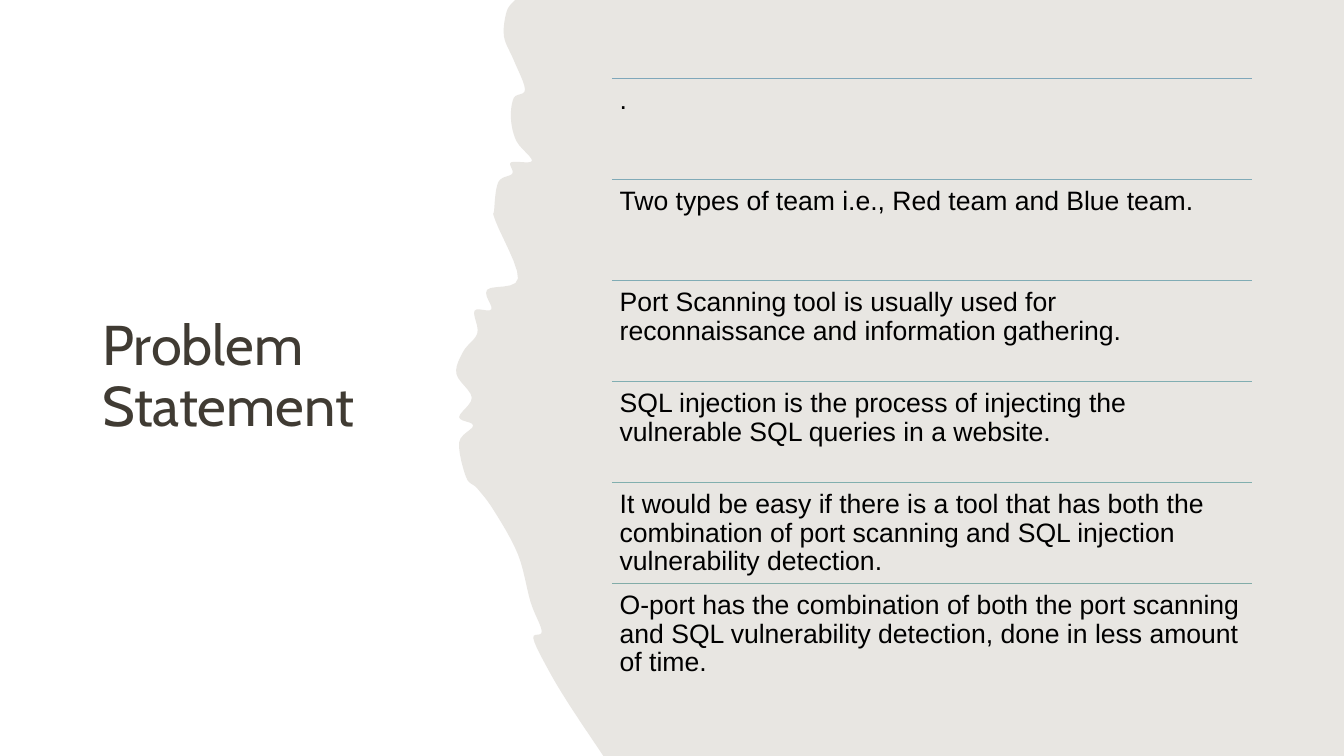
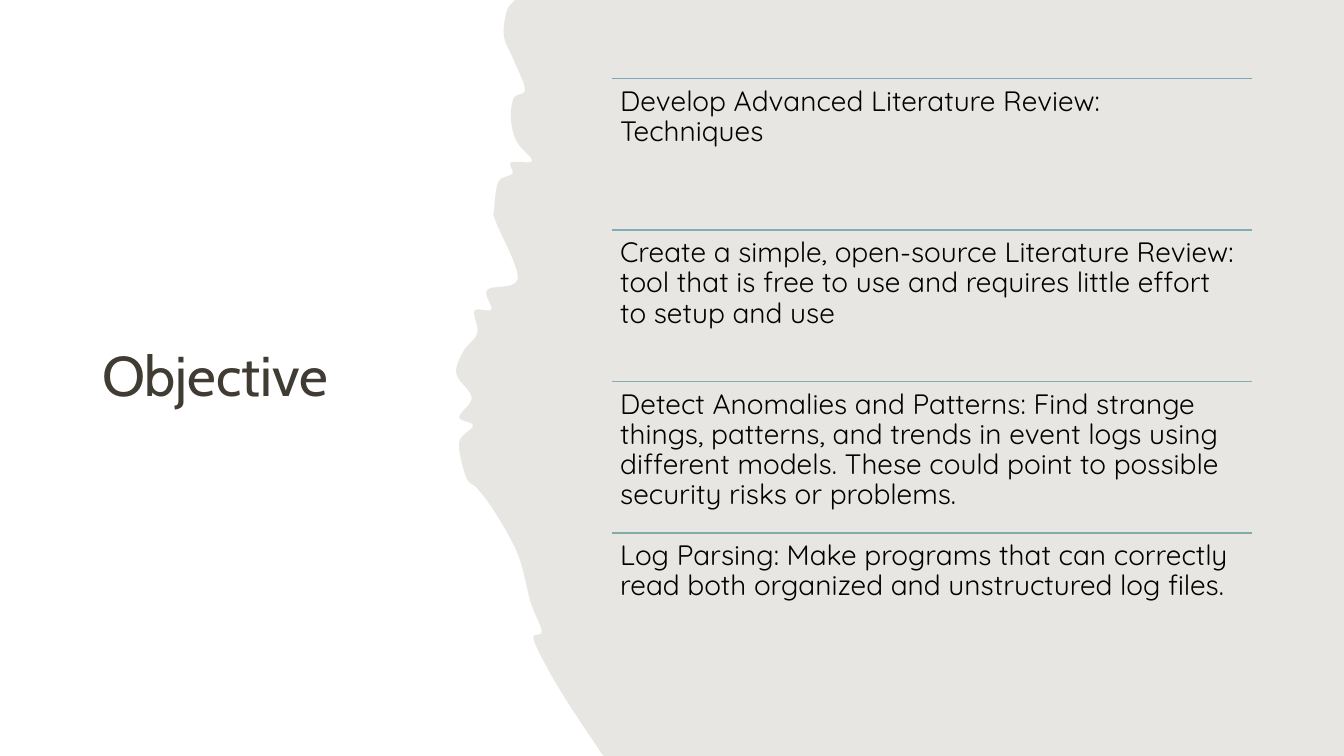
"""Build two slides that list statements beside a torn paper edge."""
from lxml.etree import SubElement
from pptx import Presentation
from pptx.dml.color import RGBColor
from pptx.enum.shapes import MSO_CONNECTOR, MSO_SHAPE
from pptx.enum.text import MSO_ANCHOR
from pptx.oxml.ns import qn
from pptx.util import Pt

WIDTH, HEIGHT = 960, 540
CURVE_STEPS = 6
COLOURS = {"paper": "FFFFFF", "stone": "E8E6E2", "title": "403B33", "body": "000000"}
LIST_LEFT, LIST_TOP, LIST_WIDTH, LIST_HEIGHT = 437, 56, 457, 433

TORN_EDGE = [
    (431, 540), (407, 504), (392, 479), (381, 456), (387, 451), (379, 430),
    (370, 396), (353, 365), (341, 349), (333, 341), (328, 316), (338, 304),
    (328, 298), (337, 284), (326, 267), (331, 251), (341, 238), (339, 222),
    (351, 221), (348, 207), (370, 199), (354, 158), (353, 150), (356, 130),
    (366, 124), (365, 116), (380, 115), (369, 101), (365, 85), (367, 70),
    (375, 64), (367, 43), (360, 26), (362, 8), (368, 0),
]

SLIDES = [
    {
        "title": "Problem Statement",
        "font": {"name": "Arial", "size": Pt(19)},
        "rows": [
            ("7FA7BA", "."),
            ("80AAB7", "Two types of team i.e., Red team and Blue team."),
            ("80ACB5", "Port Scanning tool is usually used for reconnaissance and "
                       "information gathering."),
            ("81AEB2", "SQL injection is the process of injecting the vulnerable SQL "
                       "queries in a website."),
            ("81AFAE", "It would be easy if there is a tool that has both the combination "
                       "of port scanning and SQL injection vulnerability detection."),
            ("82ACA8", "O-port has the combination of both the port scanning and SQL "
                       "vulnerability detection, done in less amount of time."),
        ],
    },
    {
        "title": "Objective",
        "font": {"name": "Quicksand", "size": Pt(20)},
        "rows": [
            ("7FA7BA", "Develop Advanced Literature Review: Techniques"),
            ("80ACB5", "Create a simple, open-source Literature Review: tool that is free "
                       "to use and requires little effort to setup and use"),
            ("81AFB1", "Detect Anomalies and Patterns: Find strange things, patterns, and "
                       "trends in event logs using different models. These could point to "
                       "possible security risks or problems."),
            ("82ACA8", "Log Parsing: Make programs that can correctly read both organized "
                       "and unstructured log files."),
        ],
    },
]


def smooth(points):
    """Run a soft curve through the points."""
    padded = [points[0], *points, points[-1]]
    curve = [points[0]]
    for before, start, end, after in zip(padded, padded[1:], padded[2:], padded[3:]):
        for index in range(1, CURVE_STEPS + 1):
            t = index / CURVE_STEPS
            curve.append(tuple(
                b + t / 2 * (c - a + t * (2 * a - 5 * b + 4 * c - d
                                          + t * (3 * b - 3 * c + d - a)))
                for a, b, c, d in zip(before, start, end, after)))
    return curve


class Deck:
    """Hold the shared style and the slide being built."""

    def __init__(self):
        """Start an empty widescreen deck."""
        self.deck = Presentation()
        self.deck.slide_width, self.deck.slide_height = Pt(WIDTH), Pt(HEIGHT)
        self.page = None

    def start_page(self):
        """Add a blank page with the white panel and the torn edge."""
        self.page = self.deck.slides.add_slide(self.deck.slide_layouts[6])
        self.paint(self.page.background.fill, COLOURS["stone"])
        panel = self.page.shapes.add_shape(
            MSO_SHAPE.RECTANGLE, 0, 0, Pt(WIDTH), Pt(HEIGHT))
        self.finish(panel, COLOURS["paper"])
        outline = [(WIDTH, 0), (WIDTH, HEIGHT), *smooth(TORN_EDGE)]
        first, *others = [(Pt(x), Pt(y)) for x, y in outline]
        builder = self.page.shapes.build_freeform(*first)
        builder.add_line_segments(others, close=True)
        self.finish(builder.convert_to_shape(), COLOURS["stone"])

    def paint(self, fill, colour):
        """Give a fill one solid colour."""
        fill.solid()
        fill.fore_color.rgb = RGBColor.from_string(colour)

    def finish(self, shape, colour):
        """Fill a shape and drop its line and shadow."""
        self.paint(shape.fill, colour)
        shape.line.fill.background()
        shape.shadow.inherit = False

    def text(self, words, place, font, colour, frame):
        """Add a wrapped text box in the given style."""
        box = self.page.shapes.add_textbox(*map(Pt, place))
        for name, value in {"word_wrap": True, **frame}.items():
            setattr(box.text_frame, name, value)
        para = box.text_frame.paragraphs[0]
        para.line_spacing = 0.9
        span = para.add_run()
        span.text = words
        for name, value in font.items():
            setattr(span.font, name, value)
        span.font.color.rgb = RGBColor.from_string(colour)

    def title(self, words):
        """Add the page title at the left."""
        self.text(words, (66, 56, 252, 428), {"name": "Cabin", "size": Pt(40)},
                  COLOURS["title"], {"vertical_anchor": MSO_ANCHOR.MIDDLE})

    def rule(self, top, colour):
        """Draw a thin line across the list."""
        line = self.page.shapes.add_connector(
            MSO_CONNECTOR.STRAIGHT, Pt(LIST_LEFT), Pt(top),
            Pt(LIST_LEFT + LIST_WIDTH), Pt(top))
        line.line.width = Pt(1)
        line.line.color.rgb = RGBColor.from_string(colour)
        SubElement(line._element.spPr, qn("a:effectLst"))

    def ruled_list(self, rows, font):
        """Stack equal rows, each under its own line."""
        height = LIST_HEIGHT / len(rows)
        inset = Pt(0.3 * font["size"].pt)
        sides = ("left", "top", "right", "bottom")
        frame = {f"margin_{side}": inset for side in sides}
        for index, (colour, words) in enumerate(rows):
            top = LIST_TOP + index * height
            self.rule(top, colour)
            self.text(words, (LIST_LEFT, top, LIST_WIDTH, height), font,
                      COLOURS["body"], frame)


def main():
    """Build and save the deck."""
    show = Deck()
    for content in SLIDES:
        show.start_page()
        show.title(content["title"])
        show.ruled_list(content["rows"], content["font"])
    show.deck.save("out.pptx")


if __name__ == "__main__":
    main()
